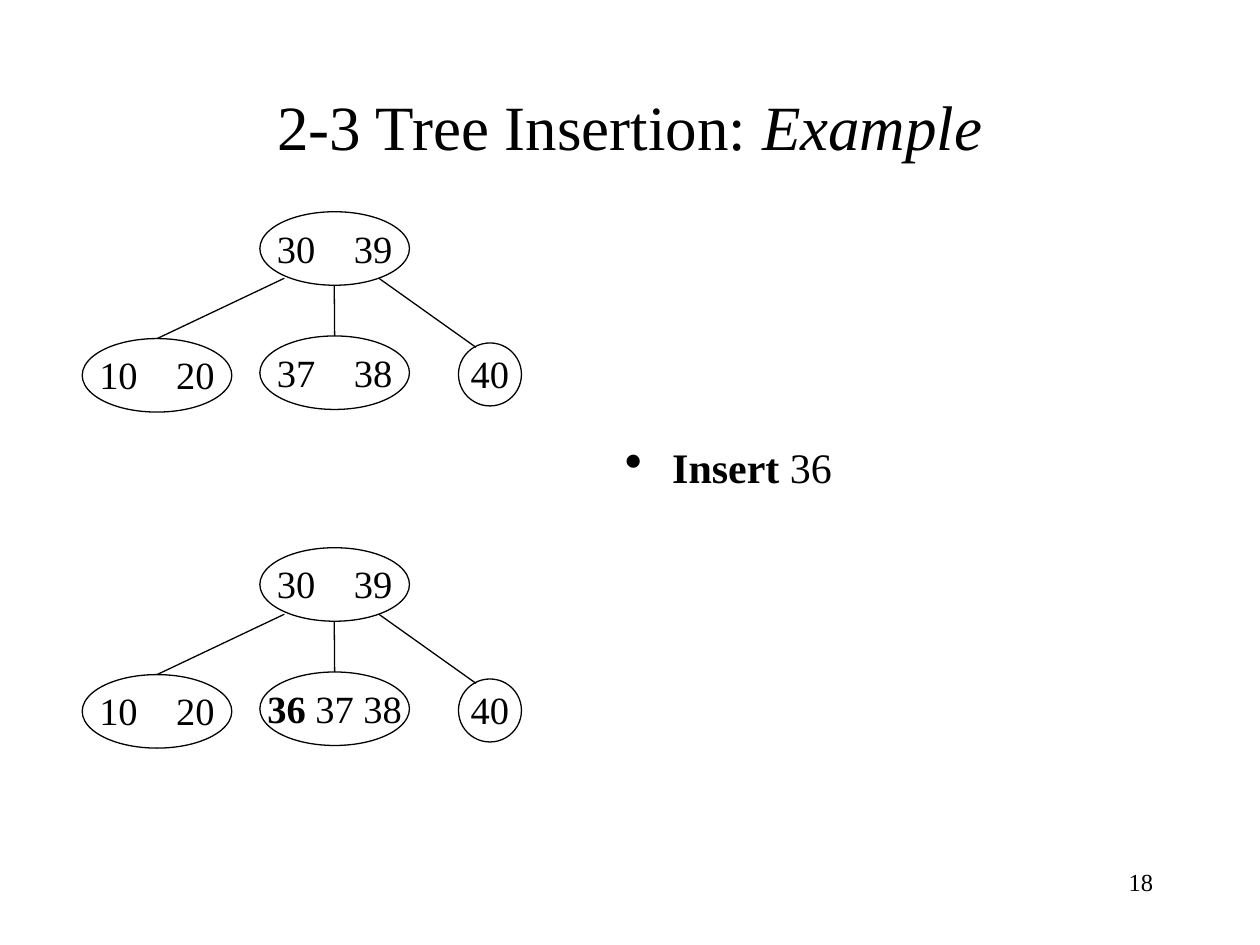
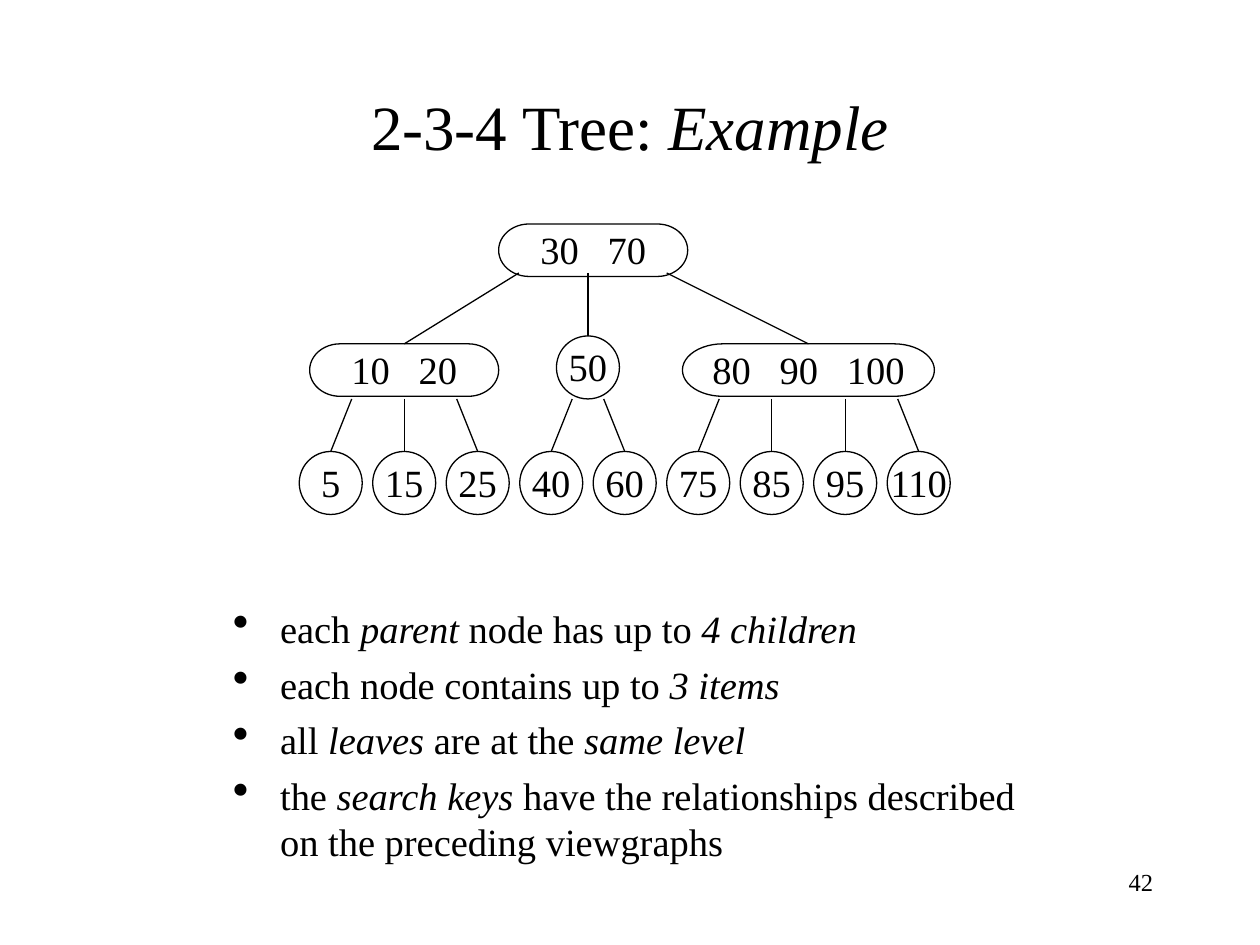
from lxml.etree import SubElement
from pptx import Presentation
from pptx.dml.color import RGBColor
from pptx.enum.shapes import MSO_CONNECTOR, MSO_SHAPE
from pptx.enum.text import MSO_ANCHOR, PP_ALIGN
from pptx.oxml.ns import qn
from pptx.util import Pt

PX = 6350
INK, PAPER = "000000", "FFFFFF"
FONT = "Times New Roman"
PLAIN, ITALIC, BOLD = {}, {"italic": True}, {"bold": True}
OVAL, PILL = MSO_SHAPE.OVAL, MSO_SHAPE.FLOWCHART_TERMINATOR
SPACE_WIDTH = 550


def rgb(value):
    return RGBColor.from_string(value)


def write(frame, lines, size, frame_format, paragraph_format, bullet=False):
    for name, value in frame_format.items():
        setattr(frame, name, value)
    for index, runs in enumerate(lines):
        paragraph = frame.add_paragraph() if index else frame.paragraphs[0]
        if bullet:
            properties = paragraph._p.get_or_add_pPr()
            properties.set("marL", str(54 * PX))
            properties.set("indent", str(-54 * PX))
            bullet_color = SubElement(properties, qn("a:buClr"))
            SubElement(bullet_color, qn("a:srgbClr"), val=INK)
            SubElement(properties, qn("a:buSzPct"), val="120000")
            SubElement(properties, qn("a:buChar"), char="•")
            if index:
                paragraph.space_before = Pt(size / 4)
        for name, value in paragraph_format.items():
            setattr(paragraph, name, value)
        for text, style in runs:
            run = paragraph.add_run()
            run.text = text
            run.font.color.rgb = rgb(INK)
            font_format = {"name": FONT, "size": Pt(size), **style}
            spacing = font_format.pop("spacing", 0)
            for name, value in font_format.items():
                setattr(run.font, name, value)
            if spacing:
                run._r.get_or_add_rPr().set("spc", str(spacing))


insertion_nodes = [
    (OVAL, (297, 242, 171, 84), ["30", "39"]),
    (OVAL, (94, 387, 171, 84), ["10", "20"]),
    (OVAL, (297, 384, 171, 84), ["37", "38"]),
    (OVAL, (524, 392, 72, 72), ["40"]),
]
insertion_edges = [
    ((325, 318), 1, None),
    ((382, 326), 2, None),
    ((433, 318), 3, (544, 397)),
]
shifted_nodes = [(kind, (x, y + 384, w, h), keys)
                 for kind, (x, y, w, h), keys in insertion_nodes]
shifted_nodes[2] = (*shifted_nodes[2][:2], ["36", "37", "38"])
shifted_edges = [((x, y + 384), child, end and (end[0], end[1] + 384))
                 for (x, y), child, end in insertion_edges]

four_nodes = [
    (PILL, (570, 256, 216, 60), ["30", "70"]),
    (PILL, (354, 393, 216, 60), ["10", "20"]),
    (OVAL, (636, 384, 72, 72), ["50"]),
    (PILL, (780, 393, 288, 60), ["80", "90", "100"]),
]
four_edges = [((593, 312), 1, None), ((672, 312), 2, None), ((762, 312), 3, None)]
for family in (["5", "15", "25"], ["40", "60"], ["75", "85", "95", "110"]):
    for position, key in enumerate(family):
        leaf_left = 342 + 84 * (len(four_nodes) - 4)
        lean = 24 if position == 0 else -24 if position == len(family) - 1 else 0
        four_edges.append(((leaf_left + 36 + lean, 456), len(four_nodes), None))
        four_nodes.append((OVAL, (leaf_left, 516, 72, 72), [key]))

pages = [
    {
        "title": "2-3 Tree Insertion: ",
        "number": "18",
        "trees": [(insertion_nodes, insertion_edges), (shifted_nodes, shifted_edges)],
        "key_gap": 4,
        "inserted": "36",
        "body_box": (700, 498, 622, 82),
        "body_size": 24,
        "body": [[("Insert ", BOLD), ("36", PLAIN)]],
    },
    {
        "title": "2-3-4 Tree: ",
        "number": "42",
        "trees": [(four_nodes, four_edges)],
        "key_gap": 3,
        "inserted": None,
        "body_box": (252, 684, 936, 312),
        "body_size": 22,
        "body": [
            [("each ", PLAIN), ("parent", ITALIC), (" node has up to ", PLAIN),
             ("4 children", ITALIC)],
            [("each node contains up to ", PLAIN), ("3 items", ITALIC)],
            [("all ", PLAIN), ("leaves", ITALIC), (" are at the ", PLAIN),
             ("same level", ITALIC)],
            [("the ", PLAIN), ("search keys", ITALIC),
             (" have the relationships described on the preceding viewgraphs", PLAIN)],
        ],
    },
]

wrapped = {"word_wrap": True}
titled = {"word_wrap": True, "vertical_anchor": MSO_ANCHOR.MIDDLE}
node_format = {"word_wrap": False, "vertical_anchor": MSO_ANCHOR.MIDDLE,
               "margin_left": 0, "margin_right": 0, "margin_top": 0, "margin_bottom": 2 * PX}
centered = {"alignment": PP_ALIGN.CENTER}
right_aligned = {"alignment": PP_ALIGN.RIGHT}
left_aligned = {"alignment": PP_ALIGN.LEFT}

deck = Presentation()
deck.slide_width, deck.slide_height = 1440 * PX, 1080 * PX

for page in pages:
    slide = deck.slides.add_slide(deck.slide_layouts[6])
    slide.background.fill.solid()
    slide.background.fill.fore_color.rgb = rgb(PAPER)

    heading = [("%s" % page["title"], PLAIN), ("Example", ITALIC)]
    for box, lines, size, frame_format, paragraph_format, bullet in (
        ((1032, 984, 300, 72), [[(page["number"], PLAIN)]], 14, wrapped, right_aligned, False),
        ((108, 96, 1224, 95), [heading], 36, titled, centered, False),
        (page["body_box"], page["body"], page["body_size"], wrapped, left_aligned, True),
    ):
        text_box = slide.shapes.add_textbox(*(side * PX for side in box))
        write(text_box.text_frame, lines, size, frame_format, paragraph_format, bullet)

    for nodes, edges in page["trees"]:
        drawn_nodes = []
        for kind, box, keys in nodes:
            node = slide.shapes.add_shape(kind, *(side * PX for side in box))
            node.shadow.inherit = False
            node.fill.solid()
            node.fill.fore_color.rgb = rgb(PAPER)
            node.line.color.rgb = rgb(INK)
            node.line.width = Pt(0.75)
            gap = 1 if page["inserted"] in keys else page["key_gap"]
            key_runs = []
            for key in keys:
                if key_runs:
                    key_runs.append((" ", {"spacing": (gap - 1) * SPACE_WIDTH}))
                key_runs.append((key, BOLD if key == page["inserted"] else PLAIN))
            write(node.text_frame, [key_runs], 22, node_format, centered)
            drawn_nodes.append(node)

        for start, child, end in edges:
            edge = slide.shapes.add_connector(
                MSO_CONNECTOR.STRAIGHT, *(side * PX for side in start + (end or start)))
            if end is None:
                edge.end_connect(drawn_nodes[child], 0)
            edge.line.color.rgb = rgb(INK)
            edge.line.width = Pt(0.75)
            SubElement(edge._element.spPr, qn("a:effectLst"))

deck.save("out.pptx")
